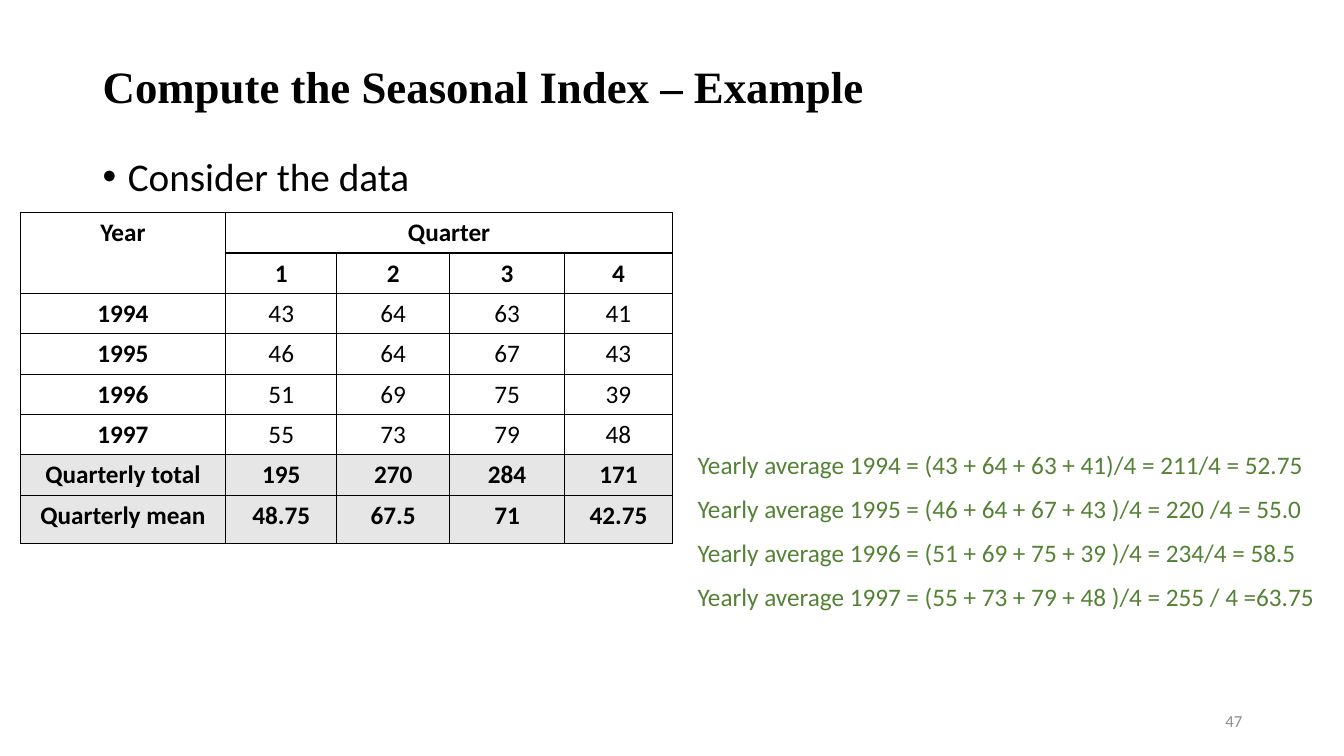
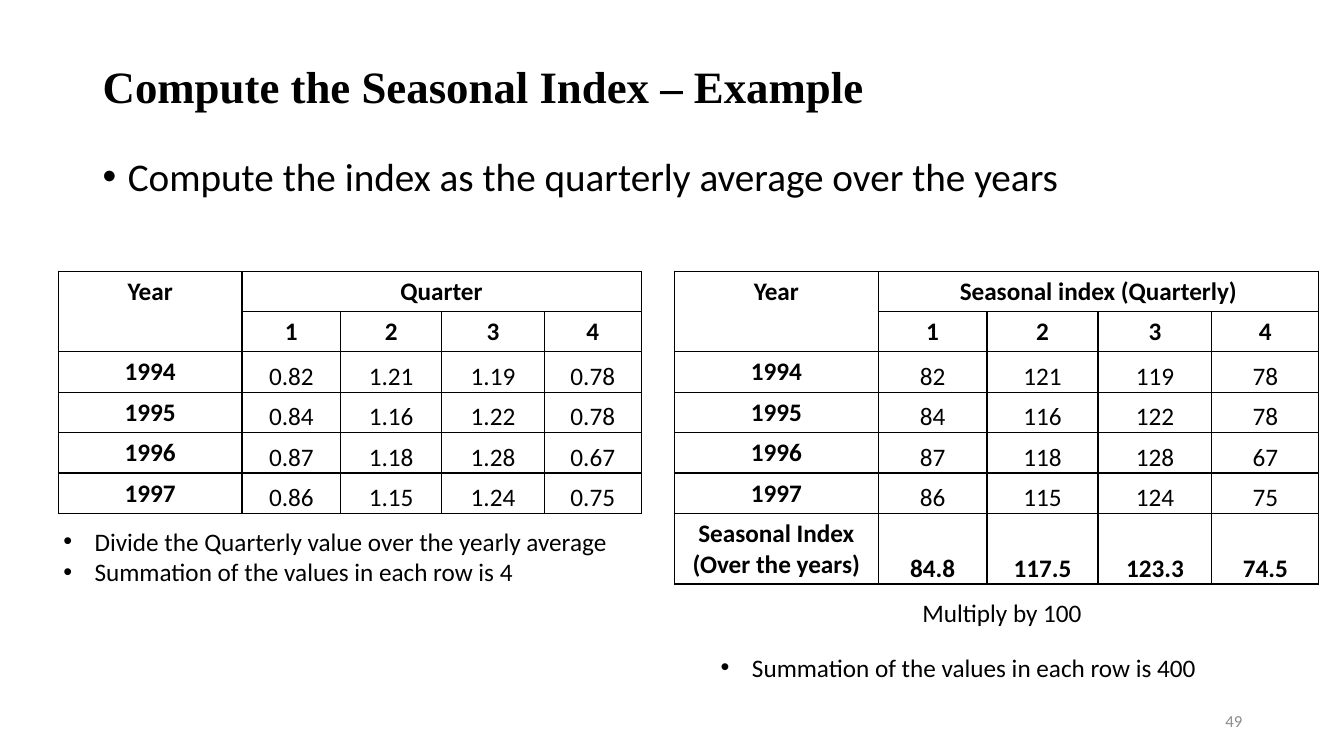
from dataclasses import dataclass

from lxml.etree import SubElement
from pptx import Presentation
from pptx.dml.color import RGBColor
from pptx.enum.text import MSO_ANCHOR, PP_ALIGN
from pptx.oxml.ns import qn
from pptx.util import Inches, Pt


@dataclass(frozen=True)
class Theme:
    """Colours, fonts and type sizes shared by the slides."""

    ink: RGBColor = RGBColor(0, 0, 0)
    green: RGBColor = RGBColor(0x54, 0x82, 0x35)
    grey: RGBColor = RGBColor(0x8C, 0x8C, 0x8C)
    shade: RGBColor = RGBColor(0xE7, 0xE6, 0xE6)
    heading_font: str = "Times New Roman"
    body_font: str = "Calibri"
    title_size: int = 32
    lead_size: int = 28
    text_size: int = 18
    number_size: int = 12
    border: float = 1


THEME = Theme()
TITLE = "Compute the Seasonal Index – Example"
YEARS = ["1994", "1995", "1996", "1997"]


def add_span(para, text, size=THEME.text_size, color=THEME.ink,
             font=THEME.body_font, bold=False):
    """Add one styled run to a paragraph."""
    span = para.add_run()
    span.text = text
    span.font.name = font
    span.font.size = Pt(size)
    span.font.bold = bold
    span.font.color.rgb = color


def add_bullet(para, indent):
    """Give a paragraph a hanging bullet."""
    properties = para._p.get_or_add_pPr()
    properties.set("marL", str(Inches(indent)))
    properties.set("indent", str(-Inches(indent)))
    SubElement(properties, qn("a:buFont"), typeface="Arial")
    SubElement(properties, qn("a:buChar"), char="•")


def add_text(page, place, lines, bullet=None, anchor=MSO_ANCHOR.TOP,
             align=PP_ALIGN.LEFT, spacing=None, gap=0, **style):
    """Add a wrapped text box with one paragraph per line."""
    box = page.shapes.add_textbox(*map(Inches, place))
    frame = box.text_frame
    frame.word_wrap = True
    frame.vertical_anchor = anchor
    for index, line in enumerate(lines):
        para = frame.add_paragraph() if index else frame.paragraphs[0]
        if bullet:
            add_bullet(para, bullet)
        para.alignment = align
        if spacing:
            para.line_spacing = spacing
        if index and gap:
            para.space_before = Pt(gap)
        add_span(para, line, **style)


def add_borders(cell):
    """Draw a thin line on all four sides of a cell."""
    properties = cell._tc.get_or_add_tcPr()
    for side in ("a:lnL", "a:lnR", "a:lnT", "a:lnB"):
        line = SubElement(properties, qn(side), w=str(Pt(THEME.border)))
        fill = SubElement(line, qn("a:solidFill"))
        SubElement(fill, qn("a:srgbClr"), val=str(THEME.ink))


def fill_cell(cell, text, bold, shaded, low):
    """Style one table cell and write its text."""
    add_borders(cell)
    if shaded:
        cell.fill.solid()
        cell.fill.fore_color.rgb = THEME.shade
    else:
        cell.fill.background()
    if low:
        cell.vertical_anchor = MSO_ANCHOR.BOTTOM
        cell.margin_left = cell.margin_right = cell.margin_top = Inches(0.01)
        cell.margin_bottom = 0
    if text:
        para = cell.text_frame.paragraphs[0]
        para.alignment = PP_ALIGN.CENTER
        add_span(para, text, bold=bold)


def add_quarter_table(page, left, top, widths, heading, values, summary=(),
                      last_height=0.4, shaded=False, low=False):
    """Add a table of years by quarters, with bold summary rows."""
    header = [["Year", heading, "", "", ""], ["", "1", "2", "3", "4"]]
    body = [[year, *row] for year, row in zip(YEARS, values)]
    rows = [*header, *body, *summary]
    heights = [0.4] * (len(rows) - 1) + [last_height]
    frame = page.shapes.add_table(
        len(rows), len(widths), Inches(left), Inches(top),
        Inches(sum(widths)), Inches(sum(heights)))
    table = frame.table
    table.first_row = table.horz_banding = False
    for column, width in zip(table.columns, widths):
        column.width = Inches(width)
    first_summary = len(header) + len(body)
    for r, (row, height) in enumerate(zip(rows, heights)):
        table.rows[r].height = Inches(height)
        is_header, is_summary = r < len(header), r >= first_summary
        for c, text in enumerate(row):
            fill_cell(table.cell(r, c), text,
                      bold=is_header or is_summary or c == 0,
                      shaded=shaded and is_summary,
                      low=low and c > 0 and not is_header)
    table.cell(0, 0).merge(table.cell(1, 0))
    table.cell(0, 1).merge(table.cell(0, 4))


def add_page(deck, lead, number):
    """Add a slide with title, leading bullet and slide number."""
    page = deck.slides.add_slide(deck.slide_layouts[6])
    add_text(page, (0.92, 0.4, 11.5, 0.97), [TITLE], anchor=MSO_ANCHOR.MIDDLE,
             spacing=0.9, size=THEME.title_size, font=THEME.heading_font,
             bold=True)
    add_text(page, (0.92, 1.37, 11.5, 5.41), [lead], bullet=0.25, spacing=1.2,
             size=THEME.lead_size)
    add_text(page, (9.42, 6.95, 3, 0.4), [number], anchor=MSO_ANCHOR.MIDDLE,
             align=PP_ALIGN.RIGHT, size=THEME.number_size, color=THEME.grey)
    return page


def add_data_page(deck):
    """Build the slide with the raw data and yearly averages."""
    page = add_page(deck, "Consider the data", "47")
    add_quarter_table(
        page, 0.2, 2.11, [2.04, 1.1, 1.12, 1.14, 1.07], "Quarter",
        [["43", "64", "63", "41"], ["46", "64", "67", "43"],
         ["51", "69", "75", "39"], ["55", "73", "79", "48"]],
        [["Quarterly total", "195", "270", "284", "171"],
         ["Quarterly mean", "48.75", "67.5", "71", "42.75"]],
        last_height=0.48, shaded=True)
    sums = ["(43 + 64 + 63 + 41)/4 = 211/4 = 52.75",
            "(46 + 64 + 67 + 43 )/4 = 220 /4 = 55.0",
            "(51 + 69 + 75 + 39 )/4 = 234/4 = 58.5",
            "(55 + 73 + 79 + 48 )/4 = 255 / 4 =63.75"]
    add_text(page, (6.82, 4.41, 6.51, 1.72),
             [f"Yearly average {year} = {total}"
              for year, total in zip(YEARS, sums)],
             gap=9.75, color=THEME.green)


def add_index_page(deck):
    """Build the slide with the ratios and the seasonal index."""
    page = add_page(
        deck, "Compute the index as the quarterly average over the years", "49")
    add_quarter_table(
        page, 0.58, 2.69, [1.82, 0.98, 1, 1.02, 0.96], "Quarter",
        [["0.82", "1.21", "1.19", "0.78"], ["0.84", "1.16", "1.22", "0.78"],
         ["0.87", "1.18", "1.28", "0.67"], ["0.86", "1.15", "1.24", "0.75"]],
        low=True)
    add_quarter_table(
        page, 6.69, 2.69, [2.02, 1.08, 1.1, 1.13, 1.06],
        "Seasonal index (Quarterly)",
        [["82", "121", "119", "78"], ["84", "116", "122", "78"],
         ["87", "118", "128", "67"], ["86", "115", "124", "75"]],
        [["Seasonal Index (Over the years)", "84.8", "117.5", "123.3", "74.5"]],
        last_height=0.7, low=True)
    add_text(page, (0.53, 5.17, 5.65, 0.71),
             ["Divide the Quarterly value over the yearly average",
              "Summation of the values in each row is 4"], bullet=0.31)
    add_text(page, (9.05, 5.88, 2.45, 0.4), ["Multiply by 100"])
    add_text(page, (7.05, 6.42, 5.65, 0.4),
             ["Summation of the values in each row is 400"], bullet=0.31)


def main():
    """Build and save the deck."""
    deck = Presentation()
    deck.slide_width = Inches(13.33)
    deck.slide_height = Inches(7.5)
    add_data_page(deck)
    add_index_page(deck)
    deck.save("out.pptx")


if __name__ == "__main__":
    main()
